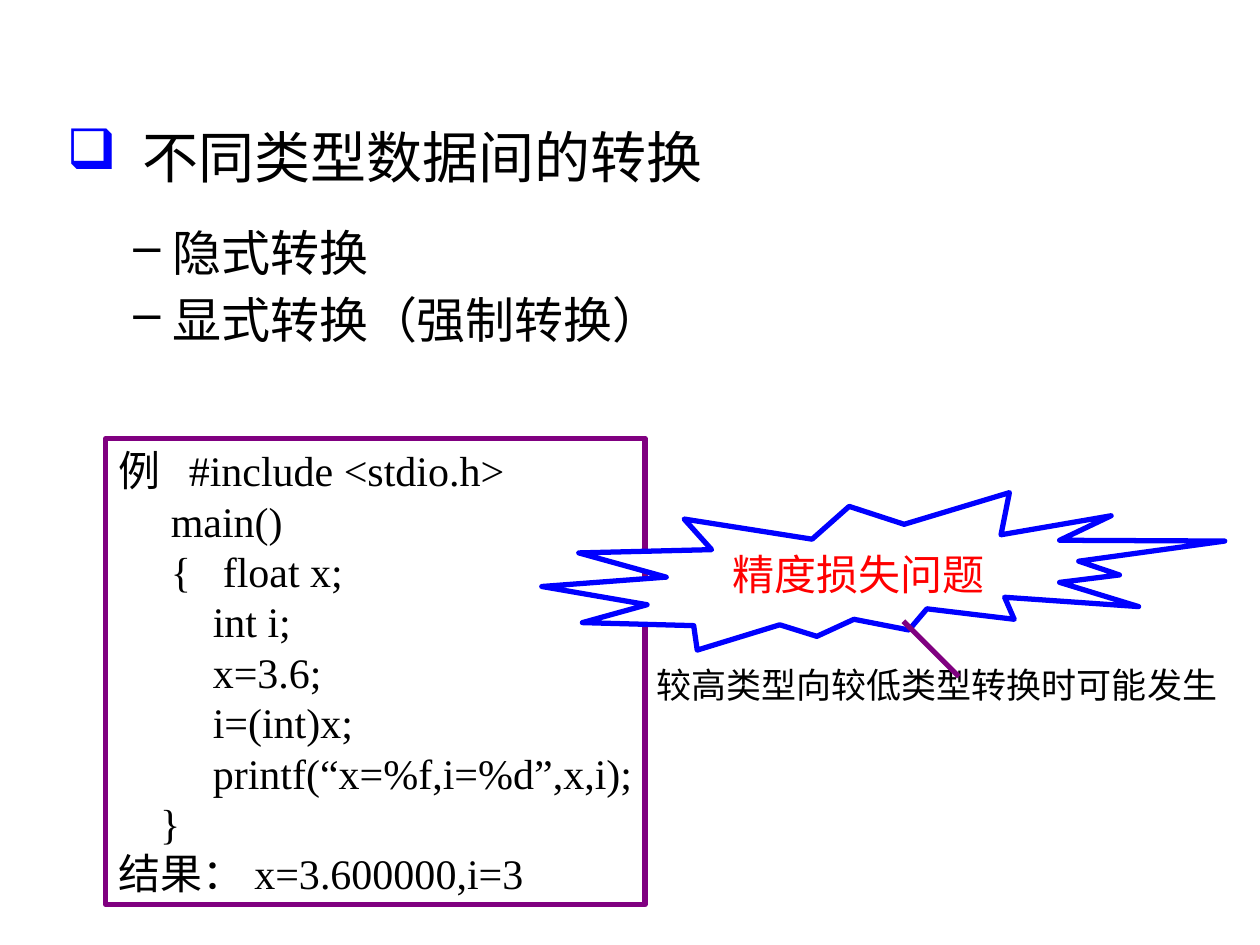
from pptx import Presentation, util as u
from pptx.dml.color import RGBColor
from pptx.enum import shapes, text
from pptx.oxml import parse_xml
from pptx.oxml.ns import nsdecls, qn

BLACK = RGBColor(0x00, 0x00, 0x00)
WHITE = RGBColor(0xFF, 0xFF, 0xFF)
BLUE = RGBColor(0x00, 0x00, 0xFF)
RED = RGBColor(0xFF, 0x00, 0x00)
PURPLE = RGBColor(0x80, 0x00, 0x80)

CELL = u.Inches(0.1)  # the page is a grid of 100 columns by 75 rows
CJK_FONT = "Noto Sans CJK SC"
STROKE = u.Pt(3)

# Code lines: first column, column after a tab, text
CODE = [
    (0, 5.6, "例\t#include <stdio.h>"),
    (4.17, 4.17, "main()"),
    (4.17, 8.3, "{\tfloat x;"),
    (7.5, 7.5, "int i;"),
    (7.5, 7.5, "x=3.6;"),
    (7.5, 7.5, "i=(int)x;"),
    (7.5, 7.5, "printf(“x=%f,i=%d”,x,i);"),
    (3.33, 3.33, "}"),
    (0, 10.8, "结果：\tx=3.600000,i=3"),
]


def cells(*counts):
    return [int(count * CELL) for count in counts]


def set_format(target, values):
    for name, value in values.items():
        setattr(target, name, value)


def write(para, words, font, size, color):
    span = para.add_run()
    span.text = words
    set_format(span.font, {"name": font, "size": u.Pt(size)})
    span.font.color.rgb = color
    span.font._element.find(qn("a:latin")).addnext(
        parse_xml(f'<a:ea {nsdecls("a")} typeface="{CJK_FONT}"/>'))


def indent(para, first, body):
    """Start the first line at one column and the rest at another."""
    props = para._p.get_or_add_pPr()
    props.set("marL", str(int(body * CELL)))
    props.set("indent", str(int((first - body) * CELL)))
    return props


def add_bullet(para, mark, color, first, body):
    props = indent(para, first, body)
    for xml in (f'<a:buClr {nsdecls("a")}><a:srgbClr val="{color}"/></a:buClr>',
                f'<a:buChar {nsdecls("a")} char="{mark}"/>'):
        props.append(parse_xml(xml))


def prepare_frame(shape, wrap, anchor=text.MSO_ANCHOR.TOP):
    set_format(shape.text_frame, {"word_wrap": wrap, "vertical_anchor": anchor})
    return shape.text_frame.paragraphs[0]


def add_outlined(page, kind, box, color):
    shape = page.shapes.add_shape(kind, *cells(*box))
    shape.shadow.inherit = False
    shape.fill.solid()
    shape.fill.fore_color.rgb = WHITE
    shape.line.color.rgb = color
    shape.line.width = STROKE
    return shape


def add_heading(page, box):
    para = prepare_frame(page.shapes.add_textbox(*cells(*box)), True)
    para.space_before = u.Pt(8)
    add_bullet(para, "❑", BLUE, 0, 6)
    write(para, "不同类型数据间的转换", "Calibri", 32, BLACK)


def add_topics(page, box, topics):
    left, top, width, height = box
    row = height / len(topics)
    for index, topic in enumerate(topics):
        place = cells(left, top + index * row, width, row)
        para = prepare_frame(page.shapes.add_textbox(*place), True)
        para.space_before = u.Pt(7)
        add_bullet(para, "–", BLACK, 5, 8.1)
        write(para, topic, CJK_FONT, 28, BLACK)


def add_code(page, box):
    panel = add_outlined(page, shapes.MSO_SHAPE.RECTANGLE, box, PURPLE)
    para = prepare_frame(panel, False)
    for index, (first, body, words) in enumerate(CODE):
        if index:
            para = panel.text_frame.add_paragraph()
        para.alignment = text.PP_ALIGN.LEFT
        indent(para, first, body)
        write(para, words, "Times New Roman", 24, BLACK)


def add_burst(page, box):
    burst = add_outlined(page, shapes.MSO_SHAPE.EXPLOSION2, box, BLUE)
    para = prepare_frame(burst, False, text.MSO_ANCHOR.MIDDLE)
    para.alignment = text.PP_ALIGN.CENTER
    write(para, "精度损失问题", "Arial", 24, RED)


def add_note(page, box):
    """Caption with a slanted pointer up to the burst."""
    left, top, width, height = box
    group = page.shapes.add_group_shape()
    para = prepare_frame(group.shapes.add_textbox(*cells(*box)), False)
    write(para, "较高类型向较低类型转换时可能发生", "Arial", 20, BLACK)
    pointer = group.shapes.add_connector(
        shapes.MSO_CONNECTOR.STRAIGHT,
        *cells(left + 20.6, top - 2.9, left + 25, top + 1.5))
    pointer.line.color.rgb = PURPLE
    pointer.line.width = STROKE
    pointer._element.spPr.append(parse_xml(f'<a:effectLst {nsdecls("a")}/>'))


def main():
    deck = Presentation()
    set_format(deck, {"slide_width": 100 * CELL, "slide_height": 75 * CELL})
    page = deck.slides.add_slide(deck.slide_layouts[6])
    add_code(page, (8.4, 34.8, 42.8, 37))
    add_burst(page, (43, 39.1, 54.2, 12.5))
    add_note(page, (51.1, 52.2, 46.5, 4.4))
    add_heading(page, (4.3, 9.2, 71.7, 6.4))
    add_topics(page, (4.6, 17.2, 85, 10.6), ["隐式转换", "显式转换（强制转换）"])
    deck.save("out.pptx")


if __name__ == "__main__":
    main()
